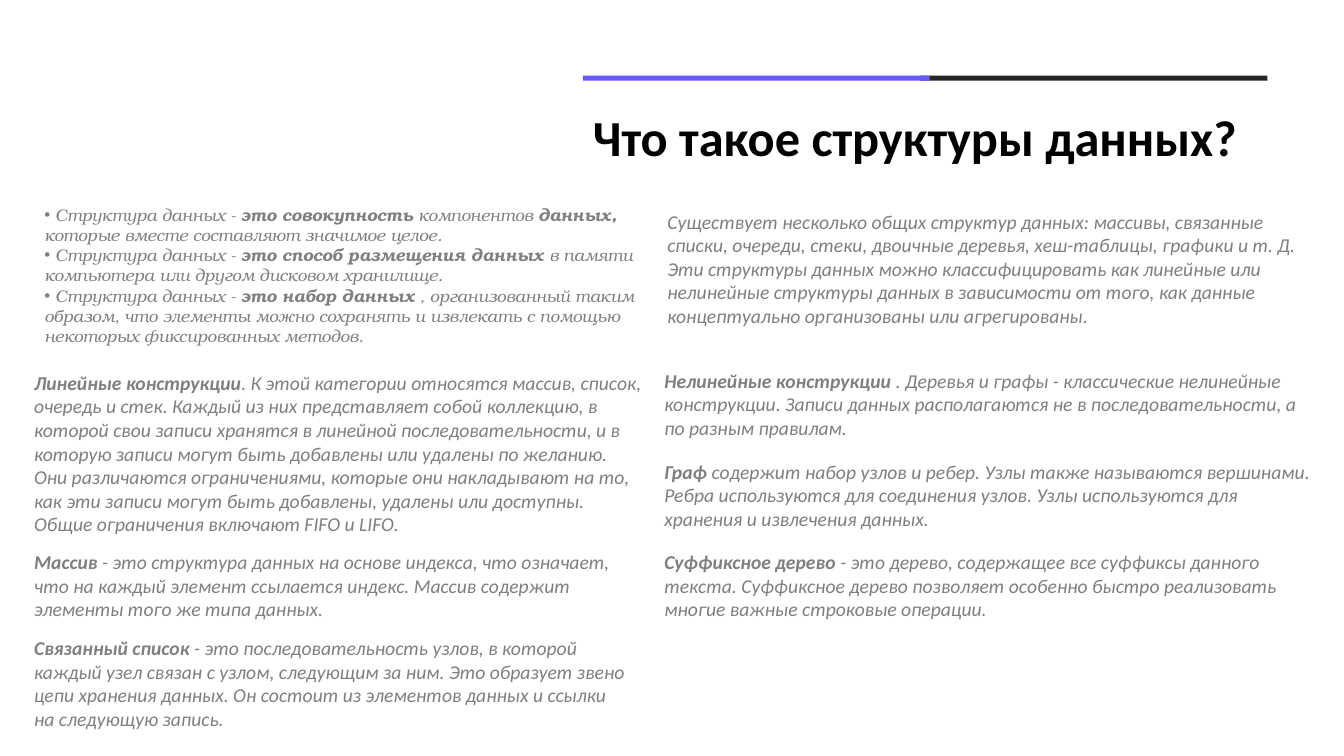
from lxml import etree
from pptx import Presentation
from pptx.dml.color import RGBColor
from pptx.enum.shapes import MSO_SHAPE
from pptx.enum.text import MSO_ANCHOR, MSO_AUTO_SIZE, PP_ALIGN
from pptx.oxml.ns import qn
from pptx.util import Inches, Pt

RECTANGLE = MSO_SHAPE.RECTANGLE
TOP, MIDDLE = MSO_ANCHOR.TOP, MSO_ANCHOR.MIDDLE
NO_AUTOFIT = MSO_AUTO_SIZE.NONE
LEFT = PP_ALIGN.LEFT

SLIDE_WIDTH, SLIDE_HEIGHT = Inches(13.33), Inches(7.5)
GRAY, BLACK, WHITE = "7F7F7F", "000000", "FFFFFF"
CHARCOAL, VIOLET = "262626", "6759FE"

LEFT_COLUMN, RIGHT_COLUMN, HEADING_COLUMN = 1.8, 48.69, 43.36
RIGHT_WIDTH, NOTE_WIDTH, BAR_WIDTH = 50.04, 45.61, 25.81
RIGHT_TOP, RIGHT_STEP, NOTE_HEIGHT = 48.13, 12, 10.8

DEFINITIONS = [
    [(" Структура данных - ", False), ("это совокупность", True),
     (" компонентов ", False), ("данных,", True),
     (" которые вместе составляют значимое целое.", False)],
    [(" Структура данных - ", False), ("это способ размещения данных", True),
     (" в памяти компьютера или другом дисковом хранилище.", False)],
    [(" Структура данных - ", False), ("это набор данных", True),
     (" , организованный таким образом, что элементы можно сохранять и "
      "извлекать с помощью некоторых фиксированных методов.", False)],
]

OVERVIEW = (
    "Существует несколько общих структур данных: массивы, связанные списки, "
    "очереди, стеки, двоичные деревья, хеш-таблицы, графики и т. Д. Эти "
    "структуры данных можно классифицировать как линейные или нелинейные "
    "структуры данных в зависимости от того, как данные концептуально "
    "организованы или агрегированы.")

LINEAR_NOTES = [
    ((LEFT_COLUMN, 48.4, 46.89, 23.33), "Линейные конструкции",
     ". К этой категории относятся массив, список, очередь и стек. Каждый из "
     "них представляет собой коллекцию, в которой свои записи хранятся в "
     "линейной последовательности, и в которую записи могут быть добавлены "
     "или удалены по желанию. Они различаются ограничениями, которые они "
     "накладывают на то, как эти записи могут быть добавлены, удалены или "
     "доступны. Общие ограничения включают FIFO и LIFO."),
    ((LEFT_COLUMN, 72.13, NOTE_WIDTH, NOTE_HEIGHT), "Массив",
     " - это структура данных на основе индекса, что означает, что на каждый "
     "элемент ссылается индекс. Массив содержит элементы того же типа данных."),
    ((LEFT_COLUMN, 83.47, NOTE_WIDTH, 13.87), "Связанный список ",
     "- это последовательность узлов, в которой каждый узел связан с узлом, "
     "следующим за ним. Это образует звено цепи хранения данных. Он состоит "
     "из элементов данных и ссылки на следующую запись."),
]

NONLINEAR_NOTES = [
    ("Нелинейные конструкции",
     " . Деревья и графы - классические нелинейные конструкции. Записи данных "
     "располагаются не в последовательности, а по разным правилам."),
    ("Граф",
     " содержит набор узлов и ребер. Узлы также называются вершинами. Ребра "
     "используются для соединения узлов. Узлы используются для хранения и "
     "извлечения данных."),
    ("Суффиксное дерево ",
     "- это дерево, содержащее все суффиксы данного текста. Суффиксное дерево "
     "позволяет особенно быстро реализовать многие важные строковые операции."),
]


def color(hex_code):
    return RGBColor.from_string(hex_code)


def area(left, top, width, height):
    return (int(SLIDE_WIDTH * left / 100), int(SLIDE_HEIGHT * top / 100),
            int(SLIDE_WIDTH * width / 100), int(SLIDE_HEIGHT * height / 100))


def move(holder, percents):
    holder.left, holder.top, holder.width, holder.height = area(*percents)


def add_bullet(paragraph):
    properties = paragraph._p.get_or_add_pPr()
    properties.set("marL", "0")
    properties.set("indent", str(-Inches(0.08)))
    bullet_color = etree.SubElement(properties, qn("a:buClr"))
    etree.SubElement(bullet_color, qn("a:srgbClr"), val=GRAY)
    etree.SubElement(properties, qn("a:buFont"), typeface="Arial")
    etree.SubElement(properties, qn("a:buChar"), char="•")


def write(frame, paragraphs, size=14, font="Calibri", ink=GRAY, italic=True,
          anchor=TOP, spacing=1.0, bullets=False):
    frame.word_wrap = True
    frame.auto_size = NO_AUTOFIT
    frame.vertical_anchor = anchor
    for index, pieces in enumerate(paragraphs):
        paragraph = frame.add_paragraph() if index else frame.paragraphs[0]
        paragraph.alignment = LEFT
        paragraph.line_spacing = spacing
        paragraph.space_before = Pt(0)
        if bullets:
            add_bullet(paragraph)
        for text, bold in pieces:
            run = paragraph.add_run()
            run.text = text
            run.font.name = font
            run.font.size = Pt(size)
            run.font.bold = bold
            run.font.italic = italic
            run.font.color.rgb = color(ink)


def add_note(slide, percents, pieces):
    note = slide.shapes.add_textbox(*area(*percents))
    write(note.text_frame, [pieces])


def add_bar(slide, left, fill):
    bar = slide.shapes.add_shape(RECTANGLE, *area(left, 10, BAR_WIDTH, 0.67))
    bar.shadow.inherit = False
    bar.fill.solid()
    bar.fill.fore_color.rgb = color(fill)
    bar.line.fill.background()


def main():
    deck = Presentation()
    deck.slide_width, deck.slide_height = SLIDE_WIDTH, SLIDE_HEIGHT
    slide = deck.slides.add_slide(deck.slide_layouts[1])

    heading = slide.shapes.title
    move(heading, (HEADING_COLUMN, 13.47, 58.06, 10.13))
    write(heading.text_frame, [[("Что такое структуры данных?", True)]],
          size=36, ink=BLACK, italic=False, anchor=MIDDLE, spacing=0.9)

    add_bar(slide, 68.49, CHARCOAL)
    add_bar(slide, HEADING_COLUMN, VIOLET)

    definitions = slide.placeholders[1]
    move(definitions, (2.55, 22.27, 46.89, 28.27))
    definitions.fill.solid()
    definitions.fill.fore_color.rgb = color(WHITE)
    write(definitions.text_frame, DEFINITIONS, size=12, font="TeX Gyre Bonum",
          anchor=MIDDLE, bullets=True)

    add_note(slide, (48.91, 27.07, RIGHT_WIDTH, 17.07), [(OVERVIEW, False)])
    for percents, term, meaning in LINEAR_NOTES:
        add_note(slide, percents, [(term, True), (meaning, False)])
    for row, (term, meaning) in enumerate(NONLINEAR_NOTES):
        top = RIGHT_TOP + row * RIGHT_STEP
        add_note(slide, (RIGHT_COLUMN, top, RIGHT_WIDTH, NOTE_HEIGHT),
                 [(term, True), (meaning, False)])

    deck.save("out.pptx")


if __name__ == "__main__":
    main()
